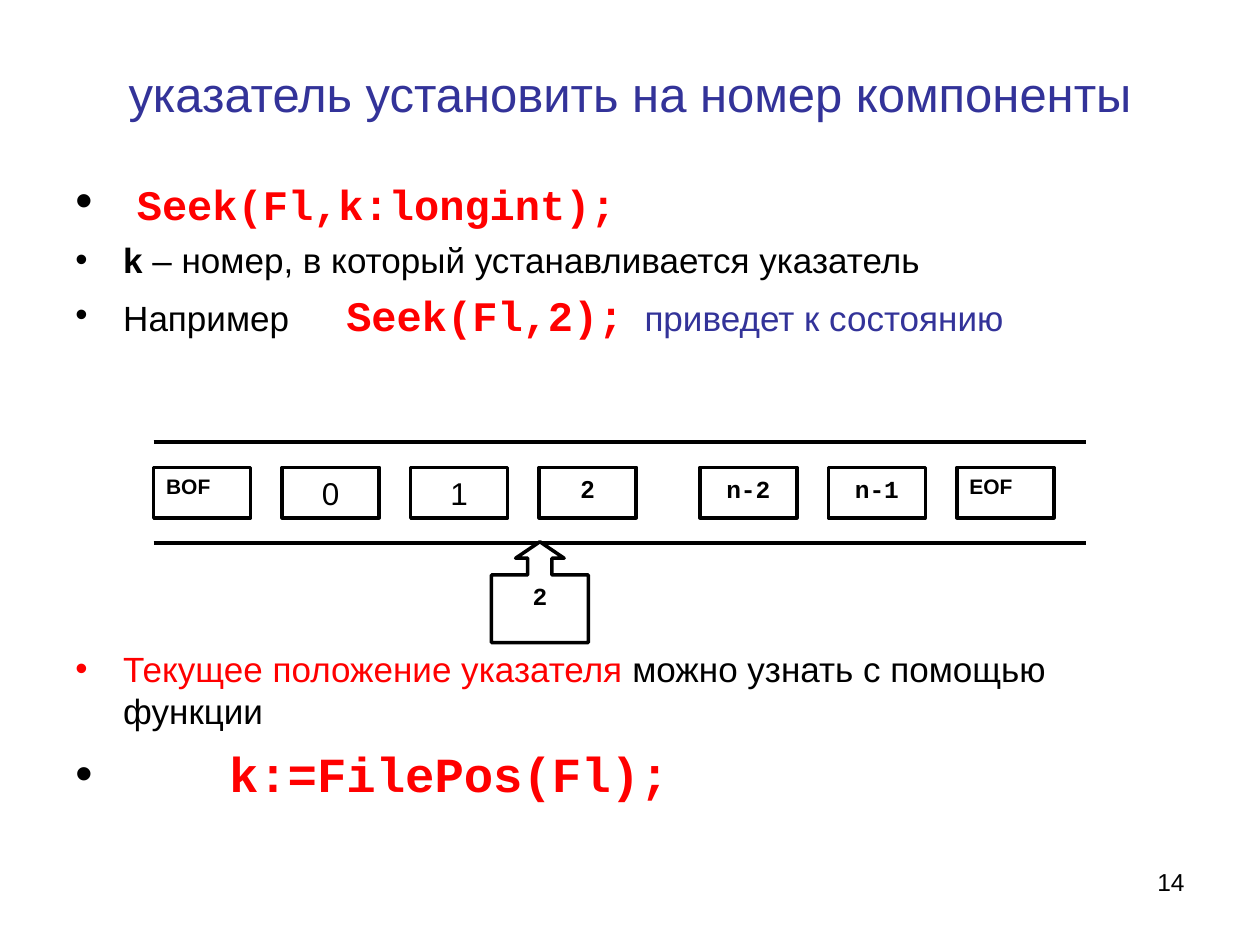
from pptx import Presentation
from pptx.dml.color import RGBColor
from pptx.enum.shapes import MSO_CONNECTOR, MSO_SHAPE
from pptx.enum.text import MSO_ANCHOR, PP_ALIGN
from pptx.oxml import parse_xml
from pptx.oxml.ns import nsdecls
from pptx.util import Inches, Pt

# Content
HUE = {"ink": "000000", "paper": "FFFFFF", "blue": "333399", "red": "FF0000"}
SANS, MONO = "Arial", "Courier New"
CODE = dict(font=MONO, hue="red", bold=True)

TITLE = "указатель установить на номер компоненты"
# Each point: runs, then indent, space before, bullet colour, tab stop
INTRO = [
    ([(" ", dict(size=28)), ("Seek(Fl,k:longint);", dict(CODE, size=24))], {}),
    ([("k", dict(bold=True)),
      (" – номер, в который устанавливается указатель", {})], dict(gap=5)),
    ([("Например\t", {}), ("Seek(Fl,2);", dict(CODE, size=24)),
      (" ", CODE), ("приведет к состоянию", dict(hue="blue"))],
     dict(gap=5, tab=2.15)),
]
OUTRO = [
    ([("Текущее положение указателя", dict(hue="red")),
      (" можно узнать с помощью функции", {})], dict(dot="red")),
    ([("k:=FilePos(Fl);", dict(CODE, size=28))], dict(gap=7, indent=1.22)),
]
# Each cell: column on the tape, text, format
EDGE = dict(size=12, bold=True, align=PP_ALIGN.JUSTIFY)
NAME = dict(size=14, bold=True, font=MONO)
CELLS = [
    (0, "BOF", EDGE), (1, "0", dict(size=18)), (2, "1", dict(size=18)),
    (3, "2", dict(size=14, bold=True)), (4.25, "n-2", NAME),
    (5.25, "n-1", NAME), (6.25, "EOF", EDGE),
]

# Tape grid in inches
LEFT, STEP, WIDE, HIGH = 1.22, 1.02, 0.77, 0.4
TOP, BASE, SPAN = 3.51, 4.31, 7.4

deck = Presentation()
deck.slide_width, deck.slide_height = Inches(10), Inches(7.5)
slide = deck.slides.add_slide(deck.slide_layouts[6])


def tint(key):
    return RGBColor.from_string(HUE[key])


def write(par, text, size=20, font=SANS, hue="ink", bold=False, align=None):
    run = par.add_run()
    run.text = text
    run.font.size, run.font.name, run.font.bold = Pt(size), font, bold
    run.font.color.rgb = tint(hue)
    if align is not None:
        par.alignment = align


def box(x, y, w, h, anchor=MSO_ANCHOR.TOP):
    frame = slide.shapes.add_textbox(*map(Inches, (x, y, w, h))).text_frame
    frame.word_wrap, frame.vertical_anchor = True, anchor
    return frame


def bullet(par, indent=0.38, gap=0, dot="ink", tab=None):
    prop = par._p.get_or_add_pPr()
    prop.set("marL", str(Inches(indent)))
    prop.set("indent", str(-Inches(indent)))
    space = nsdecls("a")
    parts = [f'<a:buClr {space}><a:srgbClr val="{HUE[dot]}"/></a:buClr>',
             f'<a:buFont {space} typeface="{SANS}"/>',
             f'<a:buChar {space} char="•"/>']
    if tab:
        parts.append(f'<a:tabLst {space}><a:tab pos="{Inches(tab)}" '
                     'algn="l"/></a:tabLst>')
    for part in parts:
        prop.append(parse_xml(part))
    par.space_before = Pt(gap)


def points(frame, items):
    for i, (runs, form) in enumerate(items):
        par = frame.add_paragraph() if i else frame.paragraphs[0]
        bullet(par, **form)
        for text, style in runs:
            write(par, text, **style)


def block(kind, x, y, w, h, text, **style):
    shape = slide.shapes.add_shape(kind, *map(Inches, (x, y, w, h)))
    shape.shadow.inherit = False
    shape.fill.solid()
    shape.fill.fore_color.rgb = tint("paper")
    shape.line.color.rgb, shape.line.width = tint("ink"), Pt(2)
    frame = shape.text_frame
    frame.word_wrap, frame.vertical_anchor = True, MSO_ANCHOR.TOP
    write(frame.paragraphs[0], text, **{"align": PP_ALIGN.CENTER, **style})
    return shape


# Title and points
write(box(0.5, 0.39, 9, 0.69, MSO_ANCHOR.MIDDLE).paragraphs[0], TITLE,
      size=28, hue="blue", align=PP_ALIGN.CENTER)
points(box(0.5, 1.31, 9, 1.5), INTRO)
points(box(0.5, 5.09, 9, 1.6), OUTRO)

# Tape: two rails and the cells between them
for y in (TOP, BASE):
    rail = slide.shapes.add_connector(
        MSO_CONNECTOR.STRAIGHT, *map(Inches, (LEFT, y, LEFT + SPAN, y)))
    rail.line.color.rgb, rail.line.width = tint("ink"), Pt(2)
    rail._element.spPr.append(parse_xml(f'<a:effectLst {nsdecls("a")}/>'))
row = (TOP + BASE - HIGH) / 2
for col, text, style in CELLS:
    block(MSO_SHAPE.RECTANGLE, LEFT + col * STEP, row, WIDE, HIGH,
          text, **style)

# File pointer
mark = block(MSO_SHAPE.UP_ARROW_CALLOUT, 3.9, 4.3, WIDE, 2 * HIGH, "2", **NAME)
for i, share in enumerate((0.25, 0.25, 0.17, 0.67)):
    mark.adjustments[i] = share

# Slide number
write(box(7.17, 6.83, 2.33, 0.52).paragraphs[0], "14", size=14,
      align=PP_ALIGN.RIGHT)

deck.save("out.pptx")
